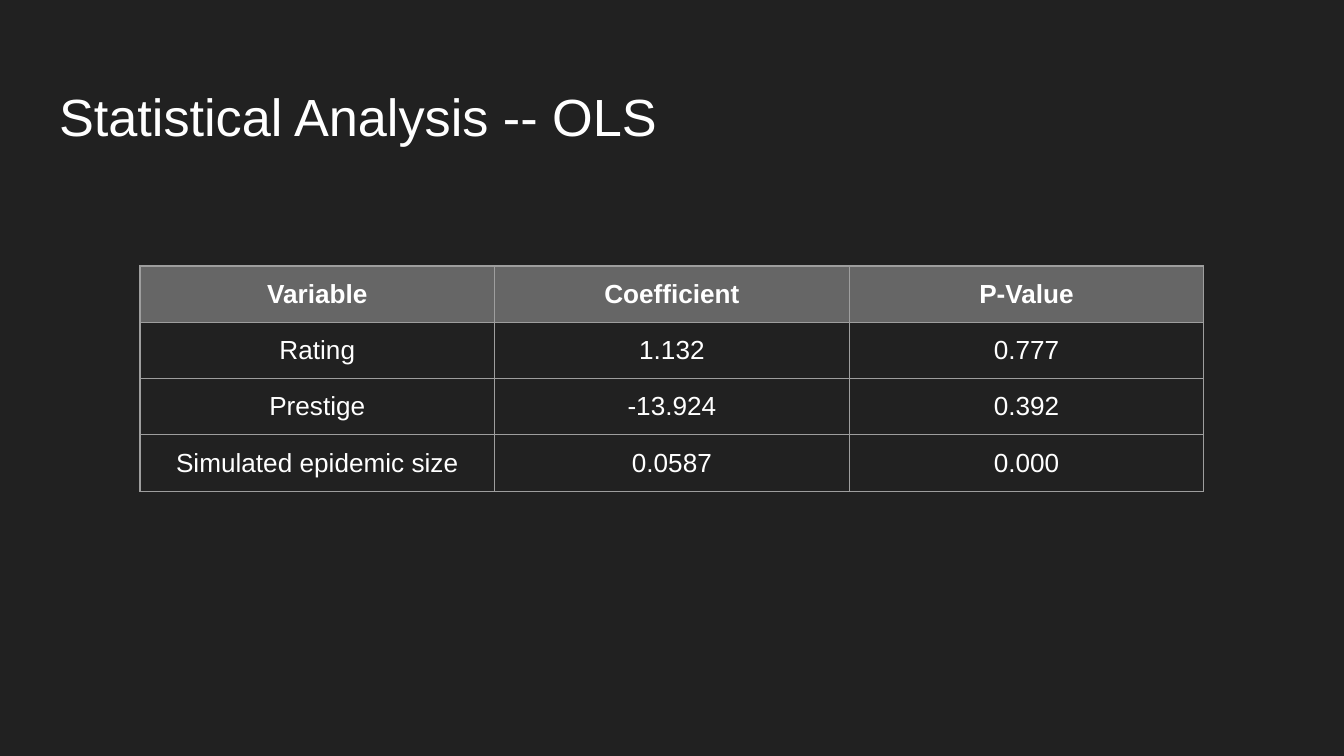
import pptx
import pptx.dml.color
import pptx.enum.text
import pptx.oxml
import pptx.oxml.ns
import pptx.util

COLORS = {
    "background": "212121",
    "text": "FFFFFF",
    "header": "666666",
    "border": "9E9E9E",
}

RESULTS = [
    ["Variable", "Coefficient", "P-Value"],
    ["Rating", "1.132", "0.777"],
    ["Prestige", "-13.924", "0.392"],
    ["Simulated epidemic size", "0.0587", "0.000"],
]


class SlideBuilder:
    font = "Arial"
    title_size = 28
    cell_size = 14
    inset = 7.2
    border_width = 0.75

    def __init__(self, presentation):
        self.slide = presentation.slides.add_slide(presentation.slide_layouts[5])
        fill = self.slide.background.fill
        fill.solid()
        fill.fore_color.rgb = self.color("background")

    def color(self, name):
        return pptx.dml.color.RGBColor.from_string(COLORS[name])

    def format_text(self, text_frame, size, alignment, bold=False):
        for paragraph in text_frame.paragraphs:
            paragraph.alignment = alignment
            for run in paragraph.runs:
                run.font.name = self.font
                run.font.size = pptx.util.Pt(size)
                run.font.bold = bold
                run.font.color.rgb = self.color("text")

    def set_margins(self, target):
        for side in ("left", "top", "right", "bottom"):
            setattr(target, f"margin_{side}", pptx.util.Pt(self.inset))

    def title(self, text, left, top, width, height):
        shape = self.slide.shapes.title
        shape.left, shape.top = pptx.util.Pt(left), pptx.util.Pt(top)
        shape.width, shape.height = pptx.util.Pt(width), pptx.util.Pt(height)
        text_frame = shape.text_frame
        text_frame.text = text
        text_frame.word_wrap = True
        text_frame.auto_size = pptx.enum.text.MSO_AUTO_SIZE.NONE
        text_frame.vertical_anchor = pptx.enum.text.MSO_ANCHOR.TOP
        self.set_margins(text_frame)
        text_frame.margin_top = pptx.util.Pt(10)
        self.format_text(text_frame, self.title_size, pptx.enum.text.PP_ALIGN.LEFT)

    def cell_borders(self, cell):
        properties = cell._tc.get_or_add_tcPr()
        width = int(pptx.util.Pt(self.border_width))
        namespace = pptx.oxml.ns.nsdecls("a")
        for index, side in enumerate(("lnL", "lnR", "lnT", "lnB")):
            border = pptx.oxml.parse_xml(
                f'<a:{side} {namespace} w="{width}"><a:solidFill>'
                f'<a:srgbClr val="{COLORS["border"]}"/></a:solidFill></a:{side}>'
            )
            properties.insert(index, border)

    def table(self, rows, left, top, column_width, row_height):
        column_count = len(rows[0])
        table = self.slide.shapes.add_table(
            len(rows),
            column_count,
            pptx.util.Pt(left),
            pptx.util.Pt(top),
            pptx.util.Pt(column_width * column_count),
            pptx.util.Pt(row_height * len(rows)),
        ).table
        table.horz_banding = False
        for row_index, row in enumerate(rows):
            is_header = row_index == 0
            for column_index, text in enumerate(row):
                cell = table.cell(row_index, column_index)
                cell.text_frame.text = text
                self.set_margins(cell)
                self.format_text(
                    cell.text_frame,
                    self.cell_size,
                    pptx.enum.text.PP_ALIGN.CENTER,
                    is_header,
                )
                if is_header:
                    cell.fill.solid()
                    cell.fill.fore_color.rgb = self.color("header")
                else:
                    cell.fill.background()
                self.cell_borders(cell)


def main():
    presentation = pptx.Presentation()
    presentation.slide_width = pptx.util.Pt(720)
    presentation.slide_height = pptx.util.Pt(405)
    builder = SlideBuilder(presentation)
    builder.title("Statistical Analysis -- OLS", 24.5, 35, 671, 45)
    builder.table(RESULTS, 75, 142.5, 190, 30)
    presentation.save("out.pptx")


if __name__ == "__main__":
    main()
